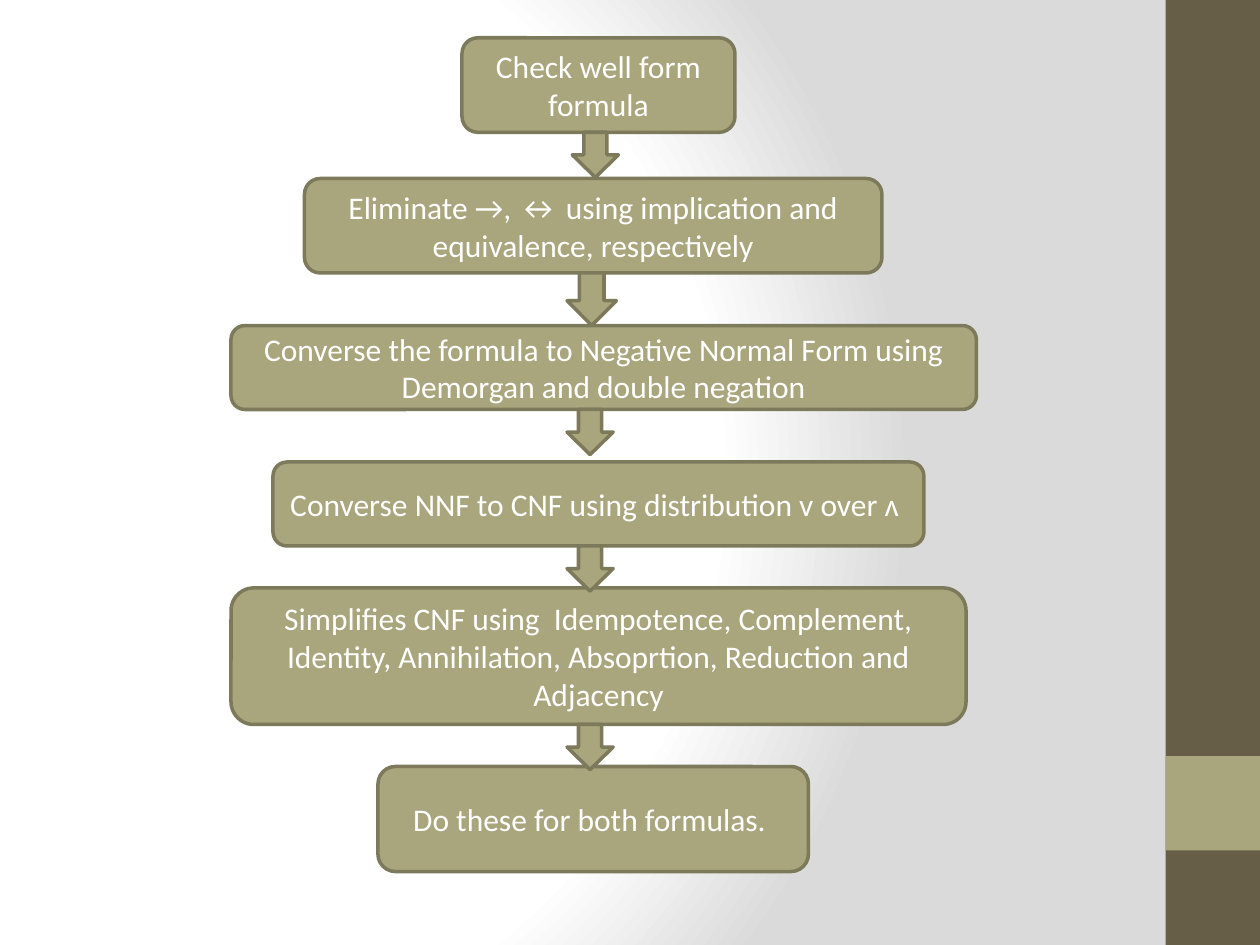
"""Build a flowchart slide of the steps that reduce formulas to CNF."""
from dataclasses import dataclass

from lxml.etree import fromstring
from pptx import Presentation
from pptx.dml.color import RGBColor as RGB
from pptx.enum.shapes import MSO_SHAPE as SHAPE
from pptx.enum.text import MSO_ANCHOR as ANCHOR, PP_ALIGN as ALIGN
from pptx.util import Inches, Pt


@dataclass(frozen=True)
class Theme:
    olive: str = "A9A57C"
    edge: str = "7D7A5C"
    brown: str = "675E47"
    white: str = "FFFFFF"
    gray: str = "DADADA"
    font: str = "Calibri"
    size: int = 18
    line: int = 2


@dataclass(frozen=True)
class Step:
    text: str
    col: float
    row: float
    cols: float
    rows: float


@dataclass(frozen=True)
class Arrow:
    col: float = 54
    cols: float = 4.4
    rows: float = 4.3


THEME = Theme()
COLS, ROWS = 120, 90
WIDTH, HEIGHT = Inches(10), Inches(7.5)

STEPS = [
    Step("Check well form formula", 44, 3.6, 26, 9),
    Step("Eliminate →, ↔ using implication and equivalence, respectively", 29, 17, 55, 9),
    Step("Converse the formula to Negative Normal Form using Demorgan and double negation",
         22, 31, 71, 8),
    Step("Converse NNF to CNF using distribution v over ʌ ", 26, 44, 62, 8),
    Step("Simplifies CNF using  Idempotence, Complement, Identity, Annihilation, "
         "Absoprtion, Reduction and Adjacency", 22, 56, 70, 13),
    Step("Do these for both formulas. ", 36, 73, 41, 10),
]
ARROWS = [Arrow(col=54.5), Arrow(cols=4.7, rows=5), Arrow(), Arrow(), Arrow()]


def add_background(s) -> None:
    """Fill the slide with a soft radial gradient."""
    stops = "".join(
        f'<a:gs pos="{pos * 1000}"><a:srgbClr val="{color}"/></a:gs>'
        for pos, color in ((0, THEME.white), (75, THEME.white), (100, THEME.gray)))
    s._element.cSld.insert(0, fromstring(
        '<p:bg xmlns:p="http://schemas.openxmlformats.org/presentationml/2006/main" '
        'xmlns:a="http://schemas.openxmlformats.org/drawingml/2006/main"><p:bgPr>'
        f'<a:gradFill rotWithShape="1"><a:gsLst>{stops}</a:gsLst><a:path path="circle">'
        '<a:fillToRect l="20000" t="50000" r="100000" b="50000"/></a:path></a:gradFill>'
        '<a:effectLst/></p:bgPr></p:bg>'))


def add_block(s, kind: SHAPE, col: float, row: float, cols: float, rows: float,
              fill: str = THEME.olive, edge: str = ""):
    """Draw a filled shape on the grid, outlined if an edge colour is given."""
    sp = s.shapes.add_shape(
        kind, round(WIDTH * col / COLS), round(HEIGHT * row / ROWS),
        round(WIDTH * cols / COLS), round(HEIGHT * rows / ROWS))
    sp.shadow.inherit = False
    sp.fill.solid()
    sp.fill.fore_color.rgb = RGB.from_string(fill)
    if edge:
        sp.line.color.rgb = RGB.from_string(edge)
        sp.line.width = Pt(THEME.line)
    else:
        sp.line.fill.background()
    return sp


def add_step(s, step: Step) -> None:
    """Draw one labelled step."""
    sp = add_block(s, SHAPE.FLOWCHART_ALTERNATE_PROCESS, step.col, step.row,
                   step.cols, step.rows, edge=THEME.edge)
    tf = sp.text_frame
    tf.word_wrap, tf.vertical_anchor = True, ANCHOR.MIDDLE
    p = tf.paragraphs[0]
    p.alignment = ALIGN.CENTER
    r = p.add_run()
    r.text = step.text
    for name, value in {"name": THEME.font, "size": Pt(THEME.size)}.items():
        setattr(r.font, name, value)
    r.font.color.rgb = RGB.from_string(THEME.white)


def add_arrow(s, arrow: Arrow, step: Step) -> None:
    """Draw an arrow leaving the bottom of a step."""
    add_block(s, SHAPE.DOWN_ARROW, arrow.col, step.row + step.rows,
              arrow.cols, arrow.rows, edge=THEME.edge)


def main() -> None:
    """Build and save the slide."""
    prs = Presentation()
    prs.slide_width, prs.slide_height = WIDTH, HEIGHT
    s = prs.slides.add_slide(prs.slide_layouts[6])
    add_background(s)
    add_block(s, SHAPE.RECTANGLE, 111, 0, 9, ROWS, THEME.brown)
    add_block(s, SHAPE.RECTANGLE, 111, 72, 9, 9)
    for step in STEPS:
        add_step(s, step)
    for arrow, step in zip(ARROWS, STEPS):
        add_arrow(s, arrow, step)
    prs.save("out.pptx")


if __name__ == "__main__":
    main()
